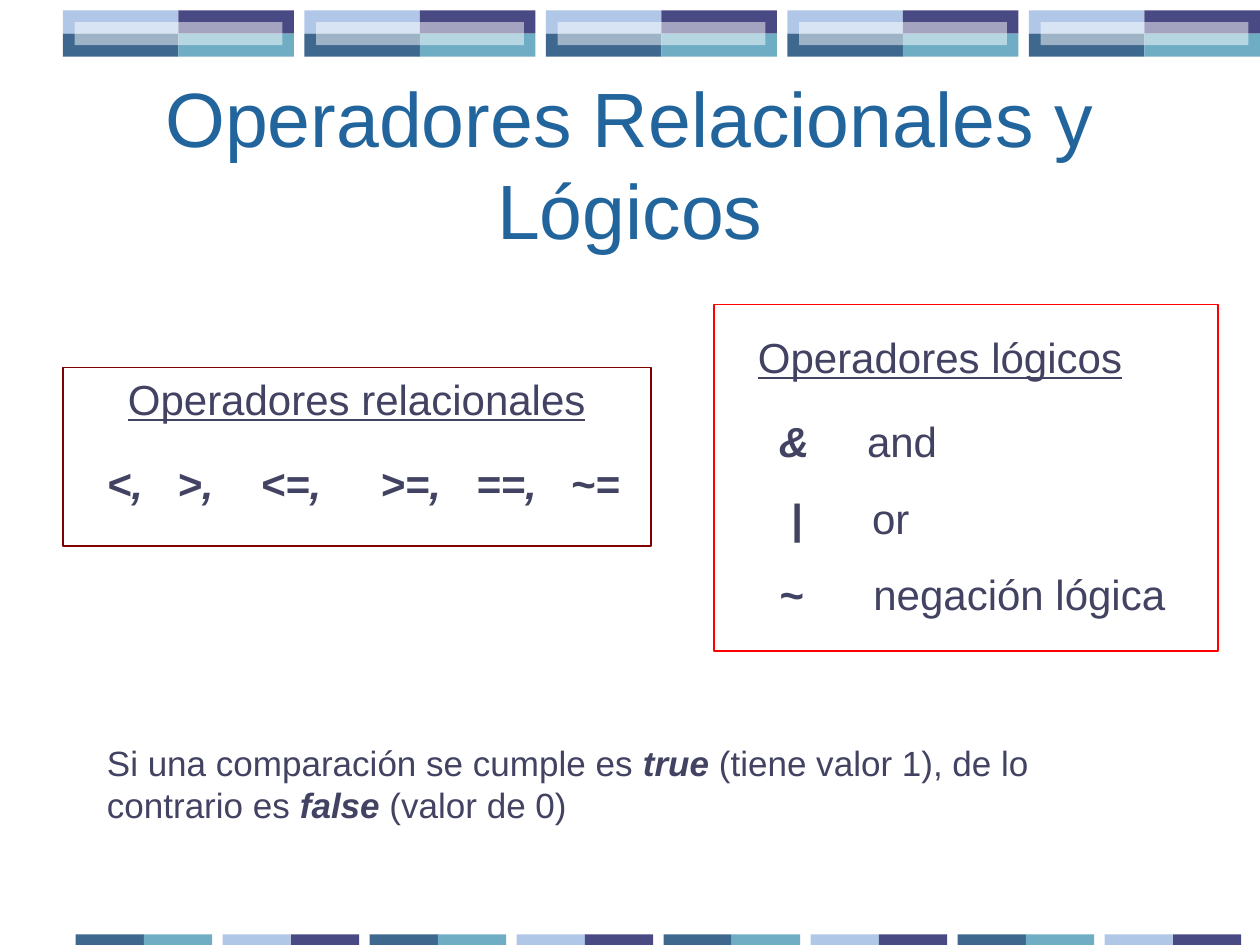
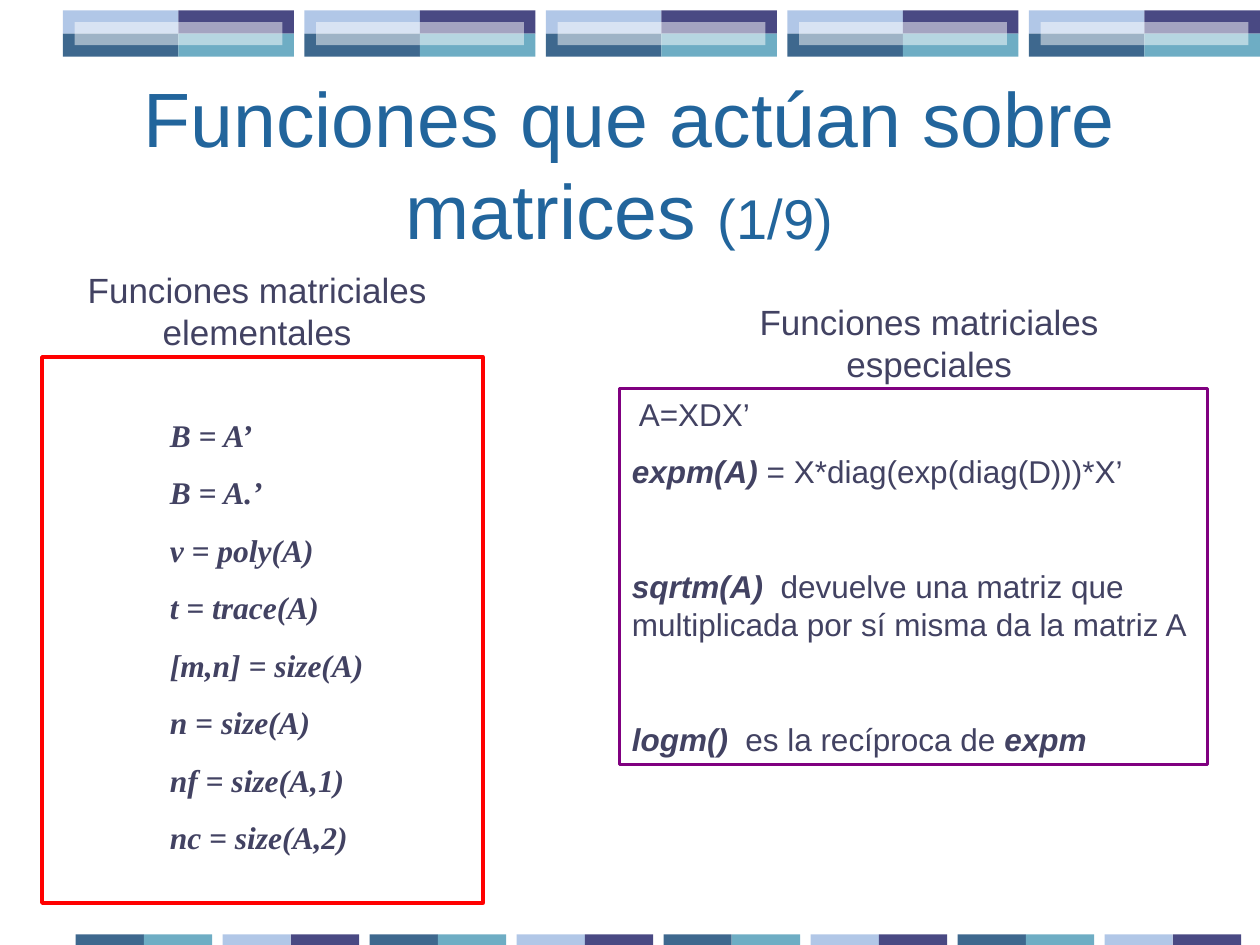
from dataclasses import dataclass

from lxml.etree import SubElement
from pptx import Presentation
from pptx.dml.color import RGBColor
from pptx.enum.shapes import MSO_SHAPE
from pptx.enum.text import MSO_ANCHOR, PP_ALIGN
from pptx.oxml.ns import qn
from pptx.util import Inches, Pt

COLUMNS, ROWS = 120, 90
CELL = Inches(10) / COLUMNS
TITLE_COLOR, TEXT_COLOR = "22659C", "424262"
SKY, INDIGO, STEEL, TEAL, WHITE = "B1C7E7", "494983", "3E688E", "6EADC4", "FFFFFF"
RED, MAROON, PURPLE = "FF0000", "800000", "800080"


@dataclass
class Box:
    left: float
    top: float
    width: float
    height: float

    def inside(self, left, top, width, height):
        return Box(self.left + left, self.top + top, width, height)

    def lengths(self):
        return [round(n * CELL) for n in (self.left, self.top, self.width, self.height)]


@dataclass
class Line:
    spans: list
    before: float = 0
    tabs: tuple = ()


def rgb(value):
    return RGBColor.from_string(value)


def add_rect(page, box, fill=None, line=None, weight=0.75, opacity=None):
    shape = page.shapes.add_shape(MSO_SHAPE.RECTANGLE, *box.lengths())
    shape.shadow.inherit = False
    if fill:
        shape.fill.solid()
        shape.fill.fore_color.rgb = rgb(fill)
    else:
        shape.fill.background()
    if opacity:
        color = shape.fill._xPr.find(qn("a:solidFill"))[0]
        SubElement(color, qn("a:alpha"), val=str(opacity * 1000))
    if line:
        shape.line.color.rgb = rgb(line)
        shape.line.width = Pt(weight)
    else:
        shape.line.fill.background()
    return shape


def set_tabs(para, stops):
    tab_list = SubElement(para._p.get_or_add_pPr(), qn("a:tabLst"))
    for stop in stops:
        SubElement(tab_list, qn("a:tab"), pos=str(Inches(stop)), algn="l")


def write(shape, lines, size, color=TEXT_COLOR, font="Arial", align=PP_ALIGN.LEFT,
          anchor=MSO_ANCHOR.TOP):
    frame = shape.text_frame
    frame.word_wrap = True
    frame.vertical_anchor = anchor
    for index, line in enumerate(lines):
        para = frame.paragraphs[0] if index == 0 else frame.add_paragraph()
        para.alignment = align
        if line.before:
            para.space_before = Pt(line.before)
        if line.tabs:
            set_tabs(para, line.tabs)
        para.font.name, para.font.size = font, Pt(size)
        para.font.color.rgb = rgb(color)
        for text, style in line.spans:
            span = para.add_run()
            span.text = text
            if style == "strong":
                span.font.bold = span.font.italic = True
            elif style == "underline":
                span.font.underline = True
            elif style:
                span.font.size = Pt(style)


def add_text(page, box, lines, size, **options):
    write(page.shapes.add_textbox(*box.lengths()), lines, size, **options)


def add_top_band(page, box):
    half, tall = 11, box.height / 2
    for tile in range(5):
        area = box.inside(tile * 23, 0, 2 * half, box.height)
        for index, color in enumerate((SKY, INDIGO, STEEL, TEAL)):
            row, column = divmod(index, 2)
            add_rect(page, area.inside(column * half, row * tall, half, tall), color)
        add_rect(page, area.inside(half / 10, tall / 2, 1.8 * half, tall), WHITE, opacity=50)


def add_bottom_band(page, box):
    half = 6.5
    for tile in range(8):
        colors = (SKY, INDIGO) if tile % 2 else (STEEL, TEAL)
        for column, color in enumerate(colors):
            add_rect(page, box.inside(tile * 14 + column * half, 0, half, box.height), color)


def add_page(deck, title):
    page = deck.slides.add_slide(deck.slide_layouts[6])
    add_top_band(page, Box(6, 1, 114, 4.4))
    add_bottom_band(page, Box(7.2, ROWS - 1, 111, 1))
    add_text(page, Box(9, 8, 102, 15), [Line(title)], 44, color=TITLE_COLOR,
             align=PP_ALIGN.CENTER, anchor=MSO_ANCHOR.MIDDLE)
    return page


def add_relational_operators(page, box):
    add_rect(page, box, line=MAROON)
    add_text(page, box.inside(5, 0, 50, 6), [Line([("Operadores relacionales", "underline")])], 24)
    operators = Line([("<,\t>,\t<=,\t>=,\t==,\t~=", "strong")],
                     tabs=(0.56, 1.22, 2.17, 2.93, 3.68))
    add_text(page, box.inside(3, 8, 52, 6), [operators], 24)


def add_logical_operators(page, box):
    add_rect(page, box, line=RED)
    add_text(page, box.inside(3, 2, 38, 6), [Line([("Operadores lógicos", "underline")])], 24)
    meanings = (("&", "and", 0.7), (" |", "or", 0.74), ("~", "negación lógica", 0.75))
    lines = [Line([(symbol + "\t", "strong"), (meaning, None)], 15 if index else 0, (stop,))
             for index, (symbol, meaning, stop) in enumerate(meanings)]
    add_text(page, box.inside(5, 10, 41, 20.6), lines, 24)


def add_heading(page, box, text):
    add_text(page, box, [Line([(text, None)])], 20, align=PP_ALIGN.CENTER)


def add_elementary_functions(page, box):
    add_heading(page, box.inside(3, -9, 35, 9.2), "Funciones matriciales elementales")
    calls = ("B = A’", "B = A.’", "v = poly(A)", "t = trace(A)", "[m,n] = size(A)",
             "n = size(A)", "nf = size(A,1)", "nc = size(A,2)")
    lines = [Line([(call, "strong")], 11.25 if index else 0) for index, call in enumerate(calls)]
    add_text(page, box.inside(11, 5, 23, 43.2), lines, 18, font="Times New Roman")
    add_rect(page, box, line=RED, weight=2)


def add_special_functions(page, box):
    add_heading(page, box.inside(12, -9, 35, 9.2), "Funciones matriciales especiales")
    lines = [
        Line([(" A=XDX’", None)]),
        Line([("expm(A) ", "strong"), ("= X*diag(exp(diag(D)))*X’", None)], 11.25),
        Line([("sqrtm(A)\t", "strong"),
              ("devuelve una matriz que multiplicada por sí misma da la matriz A", None)],
             44, (1.18,)),
        Line([("logm()\t", "strong"), ("es la recíproca de ", None), ("expm", "strong")],
             44, (0.9,)),
    ]
    write(add_rect(page, box, line=PURPLE, weight=2), lines, 18)


def build_operators(deck):
    page = add_page(deck, [("Operadores Relacionales y Lógicos", None)])
    add_relational_operators(page, Box(6, 35, 56, 17))
    add_logical_operators(page, Box(68, 29, 48, 33))
    rule = [("Si una comparación se cumple es ", None), ("true ", "strong"),
            ("(tiene valor 1), de lo contrario es ", None), ("false", "strong"),
            (" (valor de 0)", None)]
    add_text(page, Box(9, 70, 104, 9.2), [Line(rule)], 20)


def build_functions(deck):
    page = add_page(deck, [("Funciones que actúan sobre matrices ", None), ("(1/9)", 32),
                           (" ", None)])
    add_elementary_functions(page, Box(4, 34, 42, 52))
    add_special_functions(page, Box(59, 37, 56, 35.8))


def main():
    deck = Presentation()
    deck.slide_width, deck.slide_height = round(COLUMNS * CELL), round(ROWS * CELL)
    build_operators(deck)
    build_functions(deck)
    deck.save("out.pptx")


if __name__ == "__main__":
    main()
